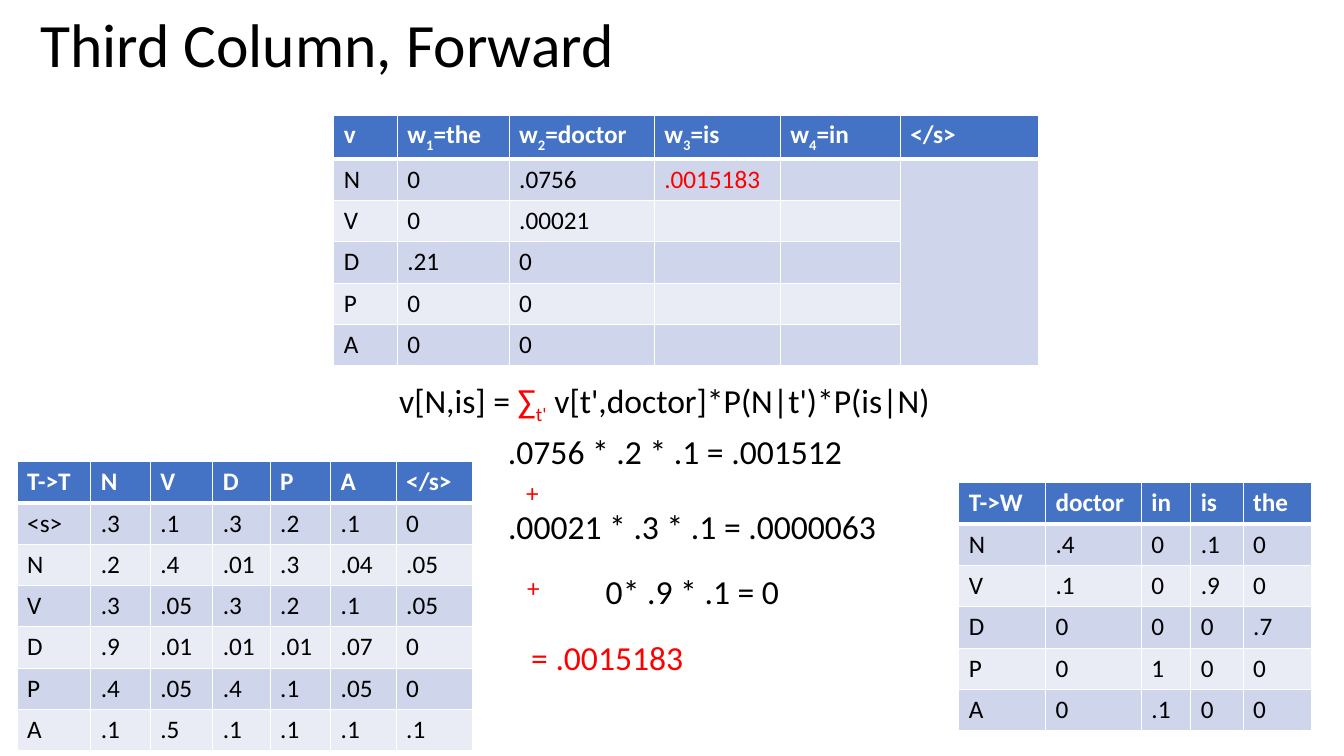
from dataclasses import dataclass

from lxml.etree import SubElement
from pptx import Presentation
from pptx.dml.color import RGBColor
from pptx.enum.text import MSO_ANCHOR
from pptx.oxml.ns import qn
from pptx.util import Pt

TOP, MID = MSO_ANCHOR.TOP, MSO_ANCHOR.MIDDLE


@dataclass(frozen=True)
class Theme:
    face: str = "Calibri"
    ink: str = "000000"
    red: str = "FF0000"
    white: str = "FFFFFF"
    head: str = "4472C4"
    odd: str = "CFD5EA"
    even: str = "E9EBF5"
    title: int = 44
    sum: int = 24
    cell: int = 18


T = Theme()
PX = 9144
ROW = 41
SUB = "-25000"

TITLE = "Third Column, Forward"

MOVES = [
    ["T->T", "N", "V", "D", "P", "A", "</s>"],
    ["<s>", ".3", ".1", ".3", ".2", ".1", "0"],
    ["N", ".2", ".4", ".01", ".3", ".04", ".05"],
    ["V", ".3", ".05", ".3", ".2", ".1", ".05"],
    ["D", ".9", ".01", ".01", ".01", ".07", "0"],
    ["P", ".4", ".05", ".4", ".1", ".05", "0"],
    ["A", ".1", ".5", ".1", ".1", ".1", ".1"],
]
WORDS = ["the", "doctor", "is", "in"]
STEPS = [
    ["v"] + [[("w", T.white, None), (str(n), T.white, SUB), ("=" + word, T.white, None)]
             for n, word in enumerate(WORDS, 1)] + ["</s>"],
    ["N", "0", ".0756", [(".0015183", T.red, None)], "", ""],
    ["V", "0", ".00021", "", "", ""],
    ["D", ".21", "0", "", "", ""],
    ["P", "0", "0", "", "", ""],
    ["A", "0", "0", "", "", ""],
]
EMITS = [
    ["T->W", "doctor", "in", "is", "the"],
    ["N", ".4", "0", ".1", "0"],
    ["V", ".1", "0", ".9", "0"],
    ["D", "0", "0", "0", ".7"],
    ["P", "0", "1", "0", "0"],
    ["A", "0", ".1", "0", "0"],
]
GRIDS = [
    (17, 458, [73, 59, 62, 57, 60, 65, 76], MOVES),
    (331, 114, [63, 111, 144, 125, 119, 137], STEPS),
    (951, 479, [86, 95, 49, 52, 68], EMITS),
]
RULE = [
    ("v[N,is] = ", T.ink, None),
    ("∑", T.red, None),
    ("t'", T.red, SUB),
    (" v[t',doctor]*P(N|t')*P(is|N)", T.ink, None),
]
NOTES = [
    (386, 372, 548, 50, RULE, T.sum, T.ink, False),
    (494, 423, 354, 50, ".0756 * .2 * .1 = .001512", T.sum, T.ink, False),
    (494, 497, 388, 50, ".00021 * .3 * .1 = .0000063", T.sum, T.ink, False),
    (591, 561, 193, 50, "0* .9 * .1 = 0", T.sum, T.ink, False),
    (512, 469, 62, 40, "+", T.cell, T.red, True),
    (513, 563, 62, 40, "+", T.cell, T.red, True),
    (517, 627, 172, 50, "= .0015183", T.sum, T.red, False),
]


def rgb(hue):
    return RGBColor.from_string(hue)


def write(frame, body, size, hue, bold=False):
    para = frame.paragraphs[0]
    font = para.font
    font.name, font.size, font.bold = T.face, Pt(size), bold
    runs = [(body, hue, None)] if isinstance(body, str) else body
    hues = {tone for _, tone, _ in runs}
    if len(hues) == 1:
        font.color.rgb = rgb(runs[0][1])
    for text, tone, base in runs:
        if not text:
            continue
        run = para.add_run()
        run.text = text
        if len(hues) > 1:
            run.font.color.rgb = rgb(tone)
        if base:
            run._r.get_or_add_rPr().set("baseline", base)
    return para


def edge(cell, top):
    props = cell._tc.get_or_add_tcPr()
    for side in "LRTB":
        width = 3 if top and side == "B" else 1
        line = SubElement(props, qn("a:ln" + side), w=str(Pt(width)))
        fill = SubElement(line, qn("a:solidFill"))
        SubElement(fill, qn("a:srgbClr"), val=T.white)


def grid(slide, left, top, cols, rows):
    box = [n * PX for n in (left, top, sum(cols), ROW * len(rows))]
    table = slide.shapes.add_table(len(rows), len(cols), *box).table
    for col, width in zip(table.columns, cols):
        col.width = width * PX
    for r, row in enumerate(rows):
        table.rows[r].height = ROW * PX
        back = T.head if r == 0 else T.odd if r % 2 else T.even
        for c, body in enumerate(row):
            cell = table.cell(r, c)
            edge(cell, r == 0)
            cell.fill.solid()
            cell.fill.fore_color.rgb = rgb(back)
            write(cell.text_frame, body, T.cell, T.ink if r else T.white, r == 0)
    return table


def label(slide, left, top, width, height, body, size, hue, wrap, anchor=TOP):
    box = slide.shapes.add_textbox(*[n * PX for n in (left, top, width, height)])
    frame = box.text_frame
    frame.word_wrap = wrap
    frame.vertical_anchor = anchor
    return write(frame, body, size, hue)


def main():
    deck = Presentation()
    deck.slide_width, deck.slide_height = 1333 * PX, 750 * PX
    slide = deck.slides.add_slide(deck.slide_layouts[6])
    moves, steps, emits = [grid(slide, *item) for item in GRIDS]
    steps.cell(1, 5).merge(steps.cell(5, 5))
    title = label(slide, 30, -25, 1150, 145, TITLE, T.title, T.ink, True, MID)
    title.line_spacing = 0.9
    for note in NOTES:
        label(slide, *note)
    deck.save("out.pptx")


if __name__ == "__main__":
    main()
